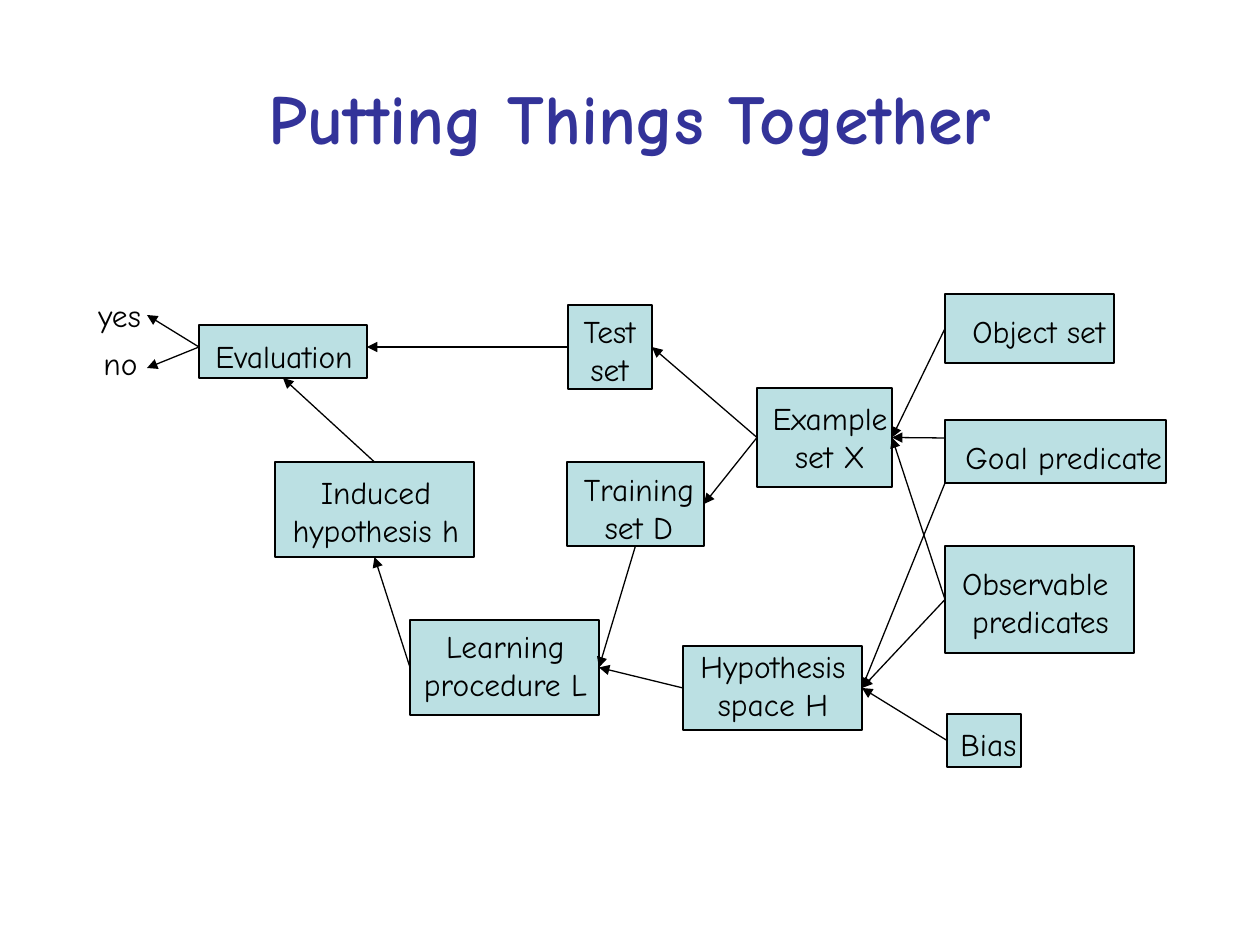
"""Build the slide showing how the parts of inductive learning fit together."""
from dataclasses import dataclass
from enum import IntEnum
from typing import NamedTuple

from lxml.etree import SubElement
from pptx import Presentation
from pptx.dml.color import RGBColor
from pptx.enum.shapes import MSO_CONNECTOR, MSO_SHAPE
from pptx.enum.text import MSO_ANCHOR, MSO_AUTO_SIZE, PP_ALIGN
from pptx.oxml.ns import qn
from pptx.shapes.autoshape import Shape
from pptx.slide import Slide
from pptx.util import Emu, Pt

PIXELS_PER_INCH = 126


@dataclass(frozen=True)
class Theme:
    font: str = "Comic Neue"
    title_size: int = 40
    label_size: int = 18
    line_width: float = 0.75
    title_color: RGBColor = RGBColor(0x33, 0x33, 0x99)
    ink: RGBColor = RGBColor(0x00, 0x00, 0x00)
    node_fill: RGBColor = RGBColor(0xBB, 0xE0, 0xE3)


class Side(IntEnum):
    TOP = 0
    LEFT = 1
    BOTTOM = 2
    RIGHT = 3


class Box(NamedTuple):
    left: int
    top: int
    width: int
    height: int


class Label(NamedTuple):
    text: str
    box: Box
    alignment: PP_ALIGN = PP_ALIGN.LEFT


class Node(NamedTuple):
    box: Box
    label: Label


class Point(NamedTuple):
    x: int
    y: int


class Joint(NamedTuple):
    node: str
    side: Side


class Arrow(NamedTuple):
    start: Point | Joint
    end: Point | Joint


THEME = Theme()
CENTER = PP_ALIGN.CENTER
TITLE = Label("Putting Things Together", Box(63, 38, 1134, 158), CENTER)

NODES = {
    "objects": Node(Box(945, 294, 169, 69), Label("Object set", Box(960, 306, 158, 50))),
    "goal": Node(Box(945, 420, 221, 63), Label("Goal predicate", Box(953, 432, 223, 50))),
    "observable": Node(
        Box(945, 546, 189, 107), Label("Observable \npredicates", Box(949, 558, 183, 88), CENTER)
    ),
    "example": Node(Box(757, 388, 135, 99), Label("Example\nset X", Box(760, 393, 140, 88), CENTER)),
    "training": Node(Box(567, 462, 137, 84), Label("Training\nset D", Box(571, 464, 136, 88), CENTER)),
    "test": Node(Box(568, 305, 84, 84), Label("Test\nset", Box(570, 306, 79, 88), CENTER)),
    "induced": Node(
        Box(275, 462, 199, 95), Label("Induced\nhypothesis h", Box(280, 467, 192, 88), CENTER)
    ),
    "learning": Node(
        Box(410, 620, 189, 95), Label("Learning\nprocedure L", Box(411, 621, 189, 88), CENTER)
    ),
    "evaluation": Node(Box(199, 325, 168, 53), Label("Evaluation", Box(203, 331, 163, 50))),
    "bias": Node(Box(947, 714, 74, 53), Label("Bias", Box(948, 719, 81, 50))),
    "hypothesis": Node(
        Box(683, 646, 179, 84), Label("Hypothesis\nspace H", Box(688, 641, 170, 88), CENTER)
    ),
}

OUTCOMES = [Label("yes", Box(86, 290, 68, 50)), Label("no", Box(91, 338, 59, 50))]

EXAMPLE_INPUT = Joint("example", Side.RIGHT)
EXAMPLE_OUTPUT = Joint("example", Side.LEFT)
HYPOTHESIS_INPUT = Joint("hypothesis", Side.RIGHT)
LEARNING_INPUT = Joint("learning", Side.RIGHT)
OBSERVABLE_OUTPUT = Joint("observable", Side.LEFT)
EVALUATION_OUTPUT = Point(199, 347)

ARROWS = [
    Arrow(Joint("objects", Side.LEFT), EXAMPLE_INPUT),
    Arrow(Point(945, 438), EXAMPLE_INPUT),
    Arrow(OBSERVABLE_OUTPUT, EXAMPLE_INPUT),
    Arrow(EXAMPLE_OUTPUT, Joint("training", Side.RIGHT)),
    Arrow(EXAMPLE_OUTPUT, Joint("test", Side.RIGHT)),
    Arrow(Joint("training", Side.BOTTOM), LEARNING_INPUT),
    Arrow(Joint("hypothesis", Side.LEFT), LEARNING_INPUT),
    Arrow(Joint("learning", Side.LEFT), Joint("induced", Side.BOTTOM)),
    Arrow(Joint("induced", Side.TOP), Joint("evaluation", Side.BOTTOM)),
    Arrow(Joint("test", Side.LEFT), Point(367, 347)),
    Arrow(EVALUATION_OUTPUT, Point(147, 315)),
    Arrow(EVALUATION_OUTPUT, Point(147, 368)),
    Arrow(OBSERVABLE_OUTPUT, HYPOTHESIS_INPUT),
    Arrow(Joint("bias", Side.LEFT), HYPOTHESIS_INPUT),
    Arrow(Point(945, 483), HYPOTHESIS_INPUT),
]


def px(length: int) -> Emu:
    """Turn pixels into EMU."""
    return Emu(round(length * 914400 / PIXELS_PER_INCH))


def add_label(slide: Slide, label: Label, size: int, color: RGBColor, bold: bool = False) -> Shape:
    """Add a text box whose lines are separate runs."""
    shape = slide.shapes.add_textbox(*map(px, label.box))
    frame = shape.text_frame
    frame.word_wrap = False
    frame.auto_size = MSO_AUTO_SIZE.SHAPE_TO_FIT_TEXT
    paragraph = frame.paragraphs[0]
    paragraph.alignment = label.alignment
    for index, line in enumerate(label.text.split("\n")):
        if index:
            paragraph.add_line_break()
        run = paragraph.add_run()
        run.text = line
        run.font.name = THEME.font
        run.font.size = Pt(size)
        run.font.bold = bold
        run.font.color.rgb = color
    return shape


def add_title(slide: Slide) -> None:
    """Add the title, centred in its area."""
    frame = add_label(slide, TITLE, THEME.title_size, THEME.title_color, True).text_frame
    frame.word_wrap = True
    frame.auto_size = MSO_AUTO_SIZE.NONE
    frame.vertical_anchor = MSO_ANCHOR.MIDDLE


def add_node(slide: Slide, node: Node) -> Shape:
    """Add a filled rectangle with its label and return the rectangle."""
    shape = slide.shapes.add_shape(MSO_SHAPE.RECTANGLE, *map(px, node.box))
    shape.shadow.inherit = False
    shape.fill.solid()
    shape.fill.fore_color.rgb = THEME.node_fill
    shape.line.color.rgb = THEME.ink
    shape.line.width = Pt(THEME.line_width)
    add_label(slide, node.label, THEME.label_size, THEME.ink)
    return shape


def add_arrow(slide: Slide, arrow: Arrow, shapes: dict[str, Shape]) -> None:
    """Add a straight arrow, joined to nodes where its ends are joints."""
    ends = [px(value) for end in arrow for value in (end if isinstance(end, Point) else (0, 0))]
    connector = slide.shapes.add_connector(MSO_CONNECTOR.STRAIGHT, *ends)
    for end, connect in zip(arrow, (connector.begin_connect, connector.end_connect)):
        if isinstance(end, Joint):
            connect(shapes[end.node], int(end.side))
    connector.line.color.rgb = THEME.ink
    connector.line.width = Pt(THEME.line_width)
    properties = connector._element.spPr
    SubElement(properties.find(qn("a:ln")), qn("a:tailEnd"), type="triangle")
    SubElement(properties, qn("a:effectLst"))


def main() -> None:
    """Build and save the presentation."""
    presentation = Presentation()
    presentation.slide_width = px(1260)
    presentation.slide_height = px(945)
    slide = presentation.slides.add_slide(presentation.slide_layouts[6])
    add_title(slide)
    shapes = {name: add_node(slide, node) for name, node in NODES.items()}
    for outcome in OUTCOMES:
        add_label(slide, outcome, THEME.label_size, THEME.ink)
    for arrow in ARROWS:
        add_arrow(slide, arrow, shapes)
    presentation.save("out.pptx")


if __name__ == "__main__":
    main()
